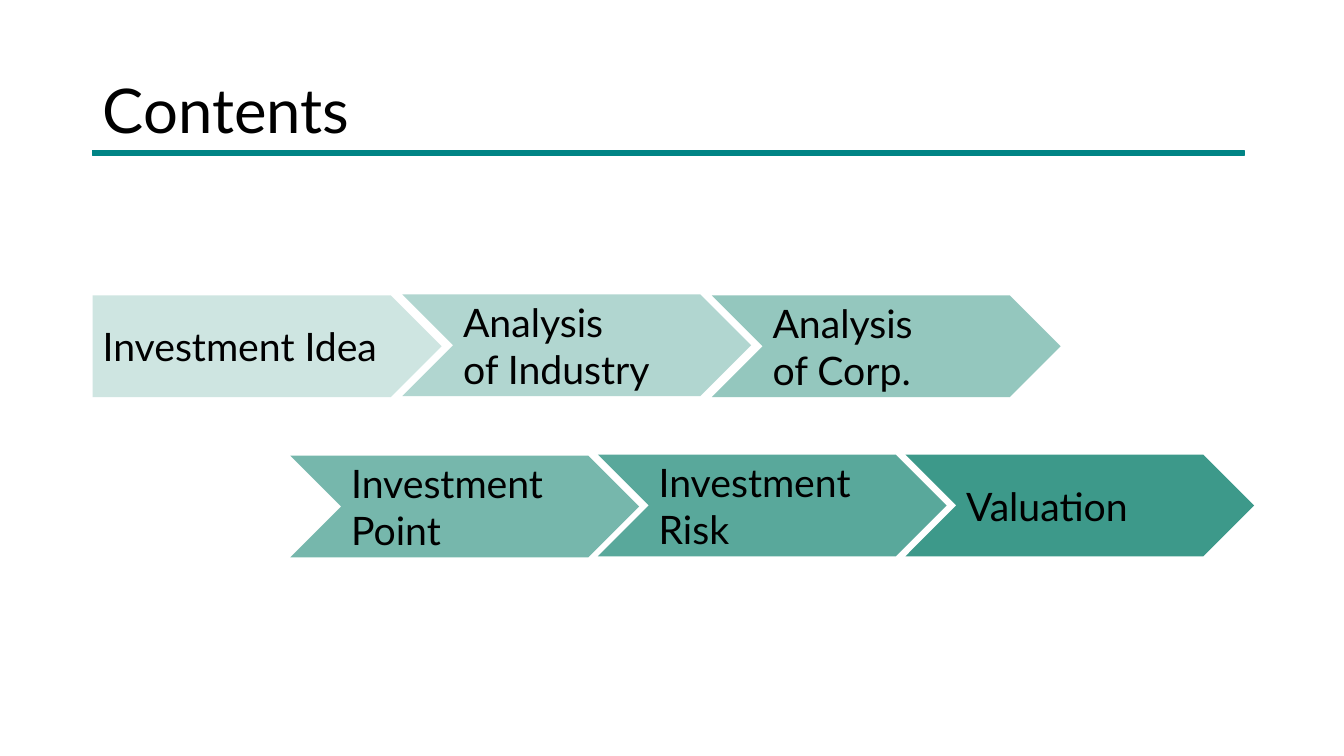
"""Build the Contents slide: a title over two staggered rows of process arrows."""
from lxml import etree
from pptx import Presentation
from pptx import util as u
from pptx.dml import color
from pptx.enum import shapes, text
from pptx.oxml import ns

PX = 9144
TEAL = "3D998A"
FONT = {"name": "Lato", "size": u.Pt(28)}


def paint(target, hex_code):
    target.rgb = color.RGBColor.from_string(hex_code)


def set_text(frame, words, font):
    frame.text = words
    frame.word_wrap = True
    frame.vertical_anchor = text.MSO_ANCHOR.MIDDLE
    for paragraph in frame.paragraphs:
        paragraph.alignment = text.PP_ALIGN.LEFT
        for key, value in font.items():
            setattr(paragraph.font, key, value)
        paint(paragraph.font.color, "000000")


deck = Presentation()
deck.slide_width, deck.slide_height = 1333 * PX, 750 * PX
slide = deck.slides.add_slide(deck.slide_layouts[5])

title = slide.shapes.title
place = {"left": 92, "top": 40, "width": 1150, "height": 145}
for key, value in place.items():
    setattr(title, key, value * PX)
set_text(title.text_frame, "Contents", FONT | {"size": u.Pt(44)})
title.text_frame.auto_size = text.MSO_AUTO_SIZE.NONE
title.text_frame.paragraphs[0].line_spacing = 0.9

rule = slide.shapes.add_shape(
    shapes.MSO_SHAPE.RECTANGLE, 92 * PX, 149 * PX, 1142 * PX, 5 * PX)
rule.shadow.inherit = False
rule.fill.solid()
paint(rule.fill.fore_color, "008485")
paint(rule.line.color, "008485")
rule.line.width = u.Pt(1)

rows = [
    (92, 307, [("Investment Idea", 293, 25),
               ("Analysis\nof Industry", 292, 40),
               ("Analysis\nof Corp.", 293, 55)]),
    (288, 305, [("Investment Point", 452, 70),
                ("Investment Risk", 451, 85),
                ("Valuation", 451, 100)]),
]
for start, step, topics in rows:
    for index, (topic, top, opacity) in enumerate(topics):
        first = topic == "Investment Idea"
        outline = shapes.MSO_SHAPE.PENTAGON if first else shapes.MSO_SHAPE.CHEVRON
        arrow = slide.shapes.add_shape(
            outline, (start + step * index) * PX, top * PX, 346 * PX, 101 * PX)
        arrow.shadow.inherit = False
        arrow.line.fill.background()
        arrow.fill.solid()
        paint(arrow.fill.fore_color, TEAL)
        if opacity < 100:
            tint = arrow.fill._xPr.find(".//" + ns.qn("a:srgbClr"))
            etree.SubElement(tint, ns.qn("a:alpha"), val=str(opacity * 1000))
        set_text(arrow.text_frame, topic, FONT)

deck.save("out.pptx")
